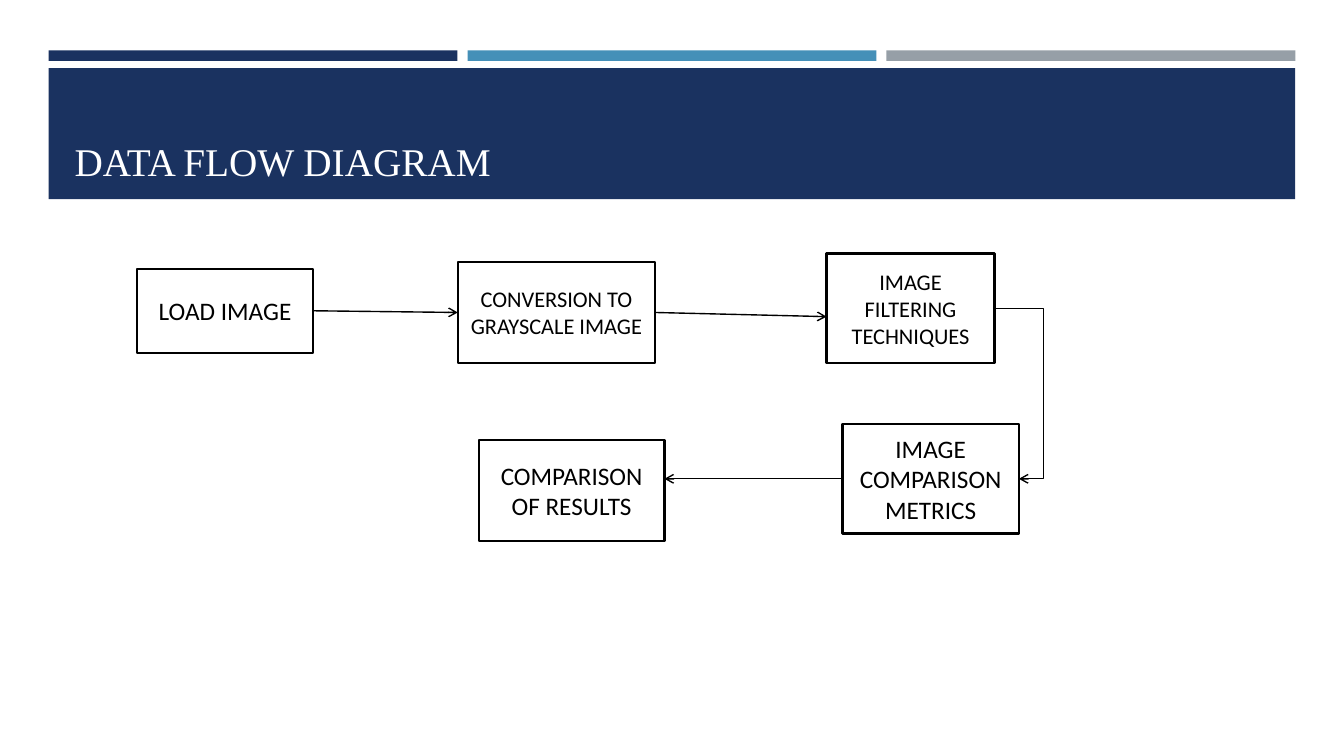
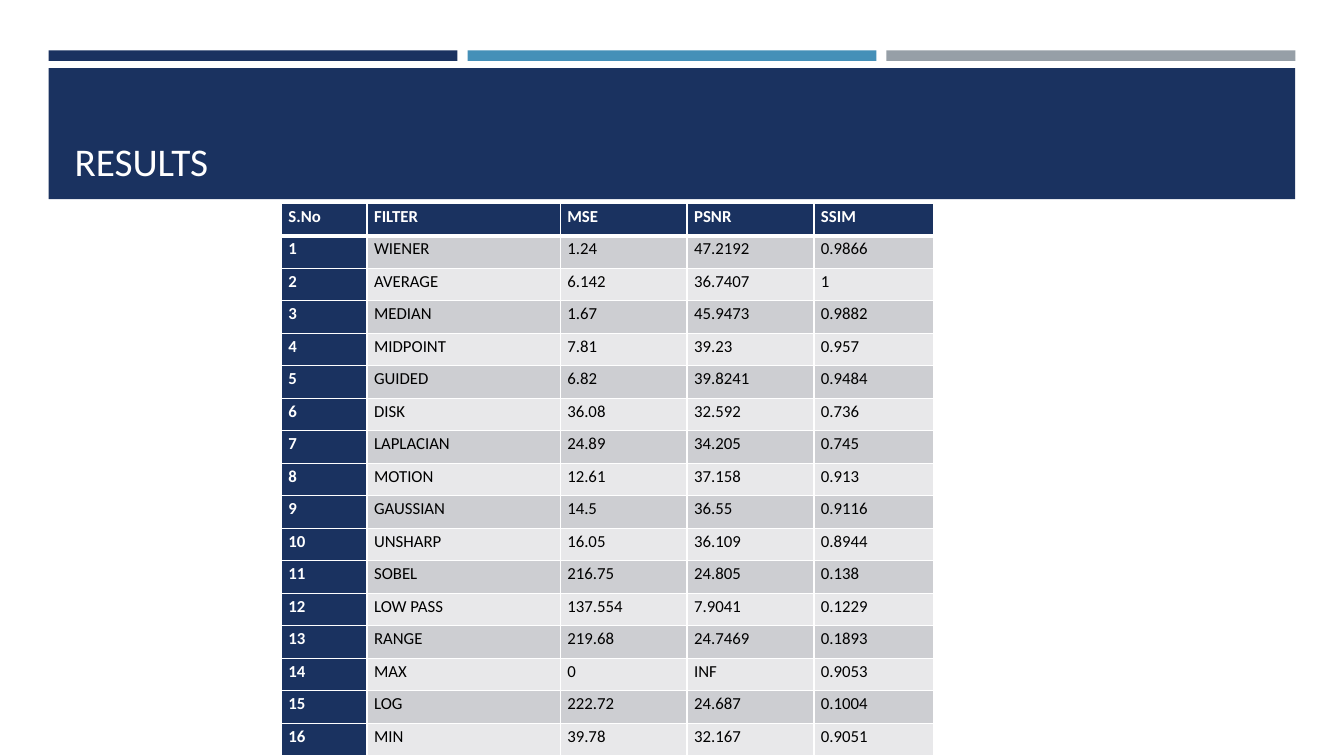
from lxml.etree import SubElement
from pptx import Presentation
from pptx.dml.color import RGBColor
from pptx.enum.shapes import MSO_CONNECTOR, MSO_SHAPE
from pptx.enum.text import MSO_ANCHOR, PP_ALIGN
from pptx.oxml.ns import qn
from pptx.util import Inches, Pt


class Theme:
    navy = RGBColor.from_string("1A3260")
    blue = RGBColor.from_string("4590B8")
    gray = RGBColor.from_string("969FA7")
    white = RGBColor.from_string("FFFFFF")
    black = RGBColor.from_string("000000")
    bands = [RGBColor.from_string("E8E8EA"), RGBColor.from_string("CDCED2")]
    sans, serif = "Calibri", "Times New Roman"
    title, large, medium, small = Pt(28), Pt(18), Pt(16), Pt(12)


prs = Presentation()
prs.slide_width, prs.slide_height = Inches(13.33), Inches(7.5)

# The slide is a grid of 160 columns by 90 rows
COL, ROW = prs.slide_width / 160, prs.slide_height / 90


def grid(left, top, width, height):
    return int(left * COL), int(top * ROW), int(width * COL), int(height * ROW)


def add_rect(s, place, fill, line=None):
    sp = s.shapes.add_shape(MSO_SHAPE.RECTANGLE, *grid(*place))
    sp.shadow.inherit = False
    sp.fill.solid()
    sp.fill.fore_color.rgb = fill
    if line is None:
        sp.line.fill.background()
    else:
        sp.line.color.rgb = line
        sp.line.width = Pt(1.75)
    return sp


# Shared frame: three strips, title band and title
MARGIN, GAP = 5.8, 1.2
STRIP = (160 - 2 * MARGIN - 2 * GAP) / 3
slides = []
for title, font in [("DATA FLOW DIAGRAM", Theme.serif), ("RESULTS", Theme.sans)]:
    s = prs.slides.add_slide(prs.slide_layouts[6])
    for i, color in enumerate([Theme.navy, Theme.blue, Theme.gray]):
        add_rect(s, (MARGIN + i * (STRIP + GAP), 6, STRIP, 1.25), color)
    add_rect(s, (MARGIN, 8.1, 160 - 2 * MARGIN, 15.6), Theme.navy)
    tf = s.shapes.add_textbox(*grid(7.7, 9.2, 144.7, 13.3)).text_frame
    tf.word_wrap = True
    tf.vertical_anchor = MSO_ANCHOR.BOTTOM
    tf.text = title
    f = tf.paragraphs[0].runs[0].font
    f.name, f.size, f.color.rgb = font, Theme.title, Theme.white
    slides.append(s)
flow, results = slides

# Flow boxes
boxes = []
for text, place, size in [
    ("LOAD IMAGE", (16.3, 32, 21, 10), Theme.large),
    ("CONVERSION TO GRAYSCALE IMAGE", (54.5, 31.2, 23.5, 12), Theme.medium),
    ("IMAGE FILTERING TECHNIQUES", (98.4, 30.2, 20, 13), Theme.medium),
    ("IMAGE COMPARISON METRICS", (100.3, 50.5, 21, 13), Theme.large),
    ("COMPARISON OF RESULTS", (57, 52.4, 22.1, 12), Theme.large),
]:
    sp = add_rect(flow, place, Theme.white, Theme.black)
    tf = sp.text_frame
    tf.word_wrap = True
    tf.vertical_anchor = MSO_ANCHOR.MIDDLE
    tf.text = text
    p = tf.paragraphs[0]
    p.alignment = PP_ALIGN.CENTER
    f = p.runs[0].font
    f.name, f.size, f.color.rgb = Theme.sans, size, Theme.black
    boxes.append(sp)
load, convert, filtering, metrics, compare = boxes

# Arrows; those with an end row stop beside the middle of the side
LEFT, RIGHT = 1, 3
for kind, start, start_side, end, end_side, end_row in [
    (MSO_CONNECTOR.STRAIGHT, load, RIGHT, convert, LEFT, None),
    (MSO_CONNECTOR.STRAIGHT, convert, RIGHT, filtering, LEFT, 37.7),
    (MSO_CONNECTOR.ELBOW, filtering, RIGHT, metrics, RIGHT, None),
    (MSO_CONNECTOR.STRAIGHT, metrics, LEFT, compare, RIGHT, 57),
]:
    end_x = end.left + (end.width if end_side == RIGHT else 0)
    end_y = int((end_row or 0) * ROW)
    cn = flow.shapes.add_connector(kind, 0, 0, end_x, end_y)
    cn.begin_connect(start, start_side)
    if end_row is None:
        cn.end_connect(end, end_side)
    cn.line.color.rgb = Theme.black
    cn.line.width = Pt(1)
    SubElement(cn.line._get_or_add_ln(), qn("a:tailEnd"), type="arrow")
    pr = cn._element.spPr
    SubElement(pr, qn("a:effectLst"))
    if kind == MSO_CONNECTOR.ELBOW:
        guides = pr.find(qn("a:prstGeom")).get_or_add_avLst()
        SubElement(guides, qn("a:gd"), name="adj1", fmla="val 200000")

# Results table
rows = [
    ("S.No", "FILTER", "MSE", "PSNR", "SSIM"),
    ("1", "WIENER", "1.24", "47.2192", "0.9866"),
    ("2", "AVERAGE", "6.142", "36.7407", "1"),
    ("3", "MEDIAN", "1.67", "45.9473", "0.9882"),
    ("4", "MIDPOINT", "7.81", "39.23", "0.957"),
    ("5", "GUIDED", "6.82", "39.8241", "0.9484"),
    ("6", "DISK", "36.08", "32.592", "0.736"),
    ("7", "LAPLACIAN", "24.89", "34.205", "0.745"),
    ("8", "MOTION", "12.61", "37.158", "0.913"),
    ("9", "GAUSSIAN", "14.5", "36.55", "0.9116"),
    ("10", "UNSHARP", "16.05", "36.109", "0.8944"),
    ("11", "SOBEL", "216.75", "24.805", "0.138"),
    ("12", "LOW PASS", "137.554", "7.9041", "0.1229"),
    ("13", "RANGE", "219.68", "24.7469", "0.1893"),
    ("14", "MAX", "0", "INF", "0.9053"),
    ("15", "LOG", "222.72", "24.687", "0.1004"),
    ("16", "MIN", "39.78", "32.167", "0.9051"),
]
widths = [10.2, 23, 15.1, 15.1, 14.2]
place = grid(33.5, 24.2, sum(widths), 65.8)
table = results.shapes.add_table(len(rows), len(widths), *place).table
for column, width in zip(table.columns, widths):
    column.width = int(width * COL)
for r, values in enumerate(rows):
    table.rows[r].height = place[3] // len(rows)
    for c, text in enumerate(values):
        head = r == 0 or c == 0
        cell = table.cell(r, c)
        cell.margin_left = cell.margin_right = Inches(0.07)
        cell.margin_top = cell.margin_bottom = 0

        # White borders, thicker under the header row
        for side in ("lnL", "lnR", "lnT", "lnB"):
            thick = (r, side) in [(0, "lnB"), (1, "lnT")]
            ln = SubElement(cell._tc.get_or_add_tcPr(), qn(f"a:{side}"), w=str(Pt(3 if thick else 1)))
            fill = SubElement(ln, qn("a:solidFill"))
            SubElement(fill, qn("a:srgbClr"), val=str(Theme.white))
        cell.fill.solid()
        cell.fill.fore_color.rgb = Theme.navy if head else Theme.bands[r % 2]

        cell.text_frame.text = text
        p = cell.text_frame.paragraphs[0]
        p.alignment = PP_ALIGN.JUSTIFY
        p.line_spacing = 1.15
        f = p.runs[0].font
        f.name, f.size, f.bold = Theme.sans, Theme.small, head
        f.color.rgb = Theme.white if head else Theme.black

prs.save("out.pptx")
